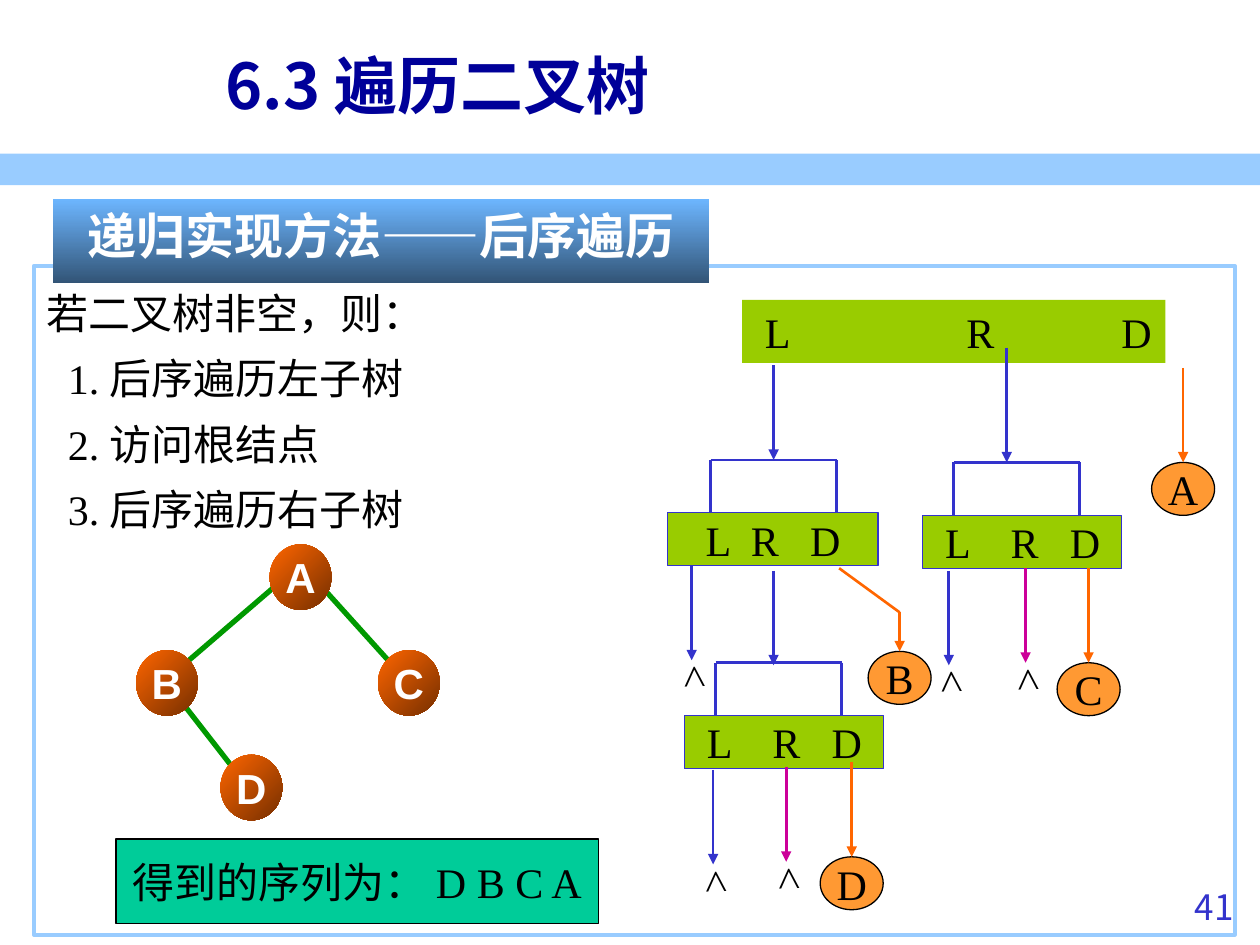
from lxml.etree import SubElement
from pptx import Presentation
from pptx.dml.color import RGBColor
from pptx.enum.shapes import MSO_CONNECTOR, MSO_SHAPE
from pptx.enum.text import MSO_ANCHOR, PP_ALIGN
from pptx.oxml.ns import qn
from pptx.util import Inches, Pt

SERIF, SANS, CJK = "Times New Roman", "Arial", "Noto Sans CJK SC"
BLUE, ORANGE, MAGENTA, GREEN = "3333CC", "FF6600", "CC0099", "009900"
PALE_BLUE, LIME, BLACK, WHITE = "99CCFF", "99CC00", "000000", "FFFFFF"
LEFT, CENTER, RIGHT = PP_ALIGN.LEFT, PP_ALIGN.CENTER, PP_ALIGN.RIGHT
TOP, MIDDLE = MSO_ANCHOR.TOP, MSO_ANCHOR.MIDDLE
RECTANGLE, OVAL = MSO_SHAPE.RECTANGLE, MSO_SHAPE.OVAL

TITLE = "6.3 遍历二叉树"
BANNER = "递归实现方法——后序遍历"
STEPS = ["若二叉树非空，则：", "1. 后序遍历左子树", "2. 访问根结点", "3. 后序遍历右子树"]
RESULT = "得到的序列为： D B C A"
PAGE = "41"

TREE_NODES = {"A": (2.14, 4.32), "B": (1.08, 5.16), "C": (3, 5.16), "D": (1.75, 5.99)}
TREE_EDGES = [(2.53, 4.63, 3.08, 5.24), (2.28, 4.57, 1.5, 5.24), (1.27, 5.35, 1.83, 6.07)]

ROOT_CALL = ((5.89, 2.38, 3.36, 0.5), 0.18, [1.6, 2.83])
CALLS = [
    ((5.64, 3.65), 0.34, 1.67, 0.3, [0.36, 0.83]),
    ((7.57, 3.67), 0.25, 1.58, 0.18, [0.52, 0.99]),
    ((5.68, 5.26), 0.25, 1.58, 0.18, [0.52, 0.99]),
]
BRACKET_WIDTH, BRACKET_DROP, ARROW = 1, 0.42, 0.75
CALL_ARROWS = [(6.14, 2.9, 3.65), (7.99, 2.76, 3.67), (6.14, 4.53, 5.28)]
EMPTY_TREES = [
    (5.49, 5.24, BLUE), (7.53, 5.28, BLUE), (8.14, 5.26, MAGENTA),
    (5.66, 6.86, BLUE), (6.24, 6.84, MAGENTA),
]
VISITS = [("A", 9.39, 3.67, ARROW), ("B", 7.14, 5.17, 0.31),
          ("C", 8.64, 5.26, ARROW), ("D", 6.76, 6.8, ARROW)]

presentation = Presentation()
presentation.slide_width, presentation.slide_height = Inches(10), Inches(7.5)
slide = presentation.slides.add_slide(presentation.slide_layouts[5])


def color(value):
    return RGBColor.from_string(value)


def write(shape, lines, size=24, font=SERIF, ink=BLACK, bold=False, align=CENTER,
          anchor=MIDDLE, wrap=False, spacing=None, tabs=(), inset=0.1):
    frame = shape.text_frame
    settings = {"word_wrap": wrap, "vertical_anchor": anchor, "margin_left": Inches(inset),
                "margin_right": Inches(0.1), "margin_top": Inches(0.05),
                "margin_bottom": Inches(0.05)}
    for name, value in settings.items():
        setattr(frame, name, value)
    frame.text = "\n".join(lines)
    for paragraph in frame.paragraphs:
        paragraph.alignment = align
        if spacing:
            paragraph.line_spacing = spacing
        properties = paragraph._p.get_or_add_pPr()
        if tabs:
            tab_list = SubElement(properties, qn("a:tabLst"))
            for stop in tabs:
                SubElement(tab_list, qn("a:tab"), pos=str(Inches(stop)), algn="l")
        for run in paragraph.runs:
            for name, value in {"size": Pt(size), "name": font, "bold": bold}.items():
                setattr(run.font, name, value)
            run.font.color.rgb = color(ink)
            SubElement(run._r.get_or_add_rPr(), qn("a:ea"), typeface=CJK)


def add_box(kind, place, fill=None, line=None, width=0.75, angle=None):
    shape = slide.shapes.add_shape(kind, *map(Inches, place))
    shape.shadow.inherit = False
    if angle is not None:
        shape.fill.gradient()
        shape.fill.gradient_angle = angle
        for stop, value in zip(shape.fill.gradient_stops, fill):
            stop.color.rgb = color(value)
    elif fill:
        shape.fill.solid()
        shape.fill.fore_color.rgb = color(fill)
    else:
        shape.fill.background()
    if line:
        shape.line.color.rgb = color(line)
        shape.line.width = Pt(width)
    else:
        shape.line.fill.background()
    return shape


def add_text(place, text, **style):
    write(slide.shapes.add_textbox(*map(Inches, place)), [text], **style)
    return slide.shapes[-1]


def add_line(ends, ink, width=1.5, arrow=False):
    connector = slide.shapes.add_connector(MSO_CONNECTOR.STRAIGHT, *map(Inches, ends))
    connector.line.color.rgb = color(ink)
    connector.line.width = Pt(width)
    if arrow:
        SubElement(connector.line._get_or_add_ln(), qn("a:tailEnd"), type="triangle")
    SubElement(connector._element.spPr, qn("a:effectLst"))
    return connector


def add_call(place, inset, tabs, line=None):
    box = add_box(RECTANGLE, place, LIME, line)
    write(box, ["L\tR\tD"], align=LEFT, wrap=True, tabs=tabs, inset=inset)


title = slide.shapes.title
title.left, title.top, title.width, title.height = map(Inches, (1.69, 0.21, 8.19, 0.92))
write(title, [TITLE], size=36, font=CJK, ink="000099", bold=True, align=LEFT, wrap=True)

add_box(RECTANGLE, (0, 1.22, 10, 0.25), PALE_BLUE)
add_text((8.94, 6.98, 0.95, 0.52), PAGE, size=20, font=CJK, ink=BLUE, align=RIGHT,
         anchor=TOP, wrap=True)

panel = add_box(RECTANGLE, (0.27, 2.11, 9.53, 5.31), line=PALE_BLUE, width=2.25)
write(panel, STEPS, align=LEFT, anchor=TOP, wrap=True, spacing=1.3)
for paragraph in panel.text_frame.paragraphs[1:]:
    paragraph._p.get_or_add_pPr().set("marL", str(Inches(0.17)))

for edge in TREE_EDGES:
    add_line(edge, GREEN, 3)
for name, corner in TREE_NODES.items():
    node = add_box(OVAL, (*corner, 0.49, 0.52), (ORANGE, "762F00"), angle=315)
    write(node, [name], font=SANS, ink=WHITE, bold=True)

add_call(*ROOT_CALL)
for (x, y), overhang, width, inset, tabs in CALLS:
    bottom, right = y + BRACKET_DROP, x + BRACKET_WIDTH
    for ends in [(x, y, right, y), (x, y, x, bottom), (right, y, right, bottom)]:
        add_line(ends, BLUE)
    add_call((x - overhang, bottom, width, 0.42), inset, tabs, BLUE)

for x, start, end in CALL_ARROWS:
    add_line((x, start, x, end), BLUE, arrow=True)

for x, tip, ink in EMPTY_TREES:
    mark = add_text((x - 0.21, tip - 0.13, 0.42, 0.5), ">", align=LEFT, anchor=TOP, wrap=True)
    mark.rotation = 268.3
    add_line((x, tip - ARROW, x, tip), ink, arrow=True)

add_line((6.66, 4.51, 7.14, 4.86), ORANGE)
for name, x, top, length in VISITS:
    visit = add_box(OVAL, (x - 0.25, top, 0.5, 0.42), "FF9933", BLACK)
    write(visit, [name])
    add_line((x, top - length, x, top), ORANGE, arrow=True).end_connect(visit, 0)

write(add_box(RECTANGLE, (0.92, 6.66, 3.83, 0.67), "00CC99", BLACK), [RESULT])
banner = add_box(RECTANGLE, (0.42, 1.58, 5.21, 0.67), ("6DB6FF", "325476"), angle=270)
write(banner, [BANNER], size=28, font=CJK, ink=WHITE, bold=True, anchor=TOP, wrap=True)

presentation.save("out.pptx")
